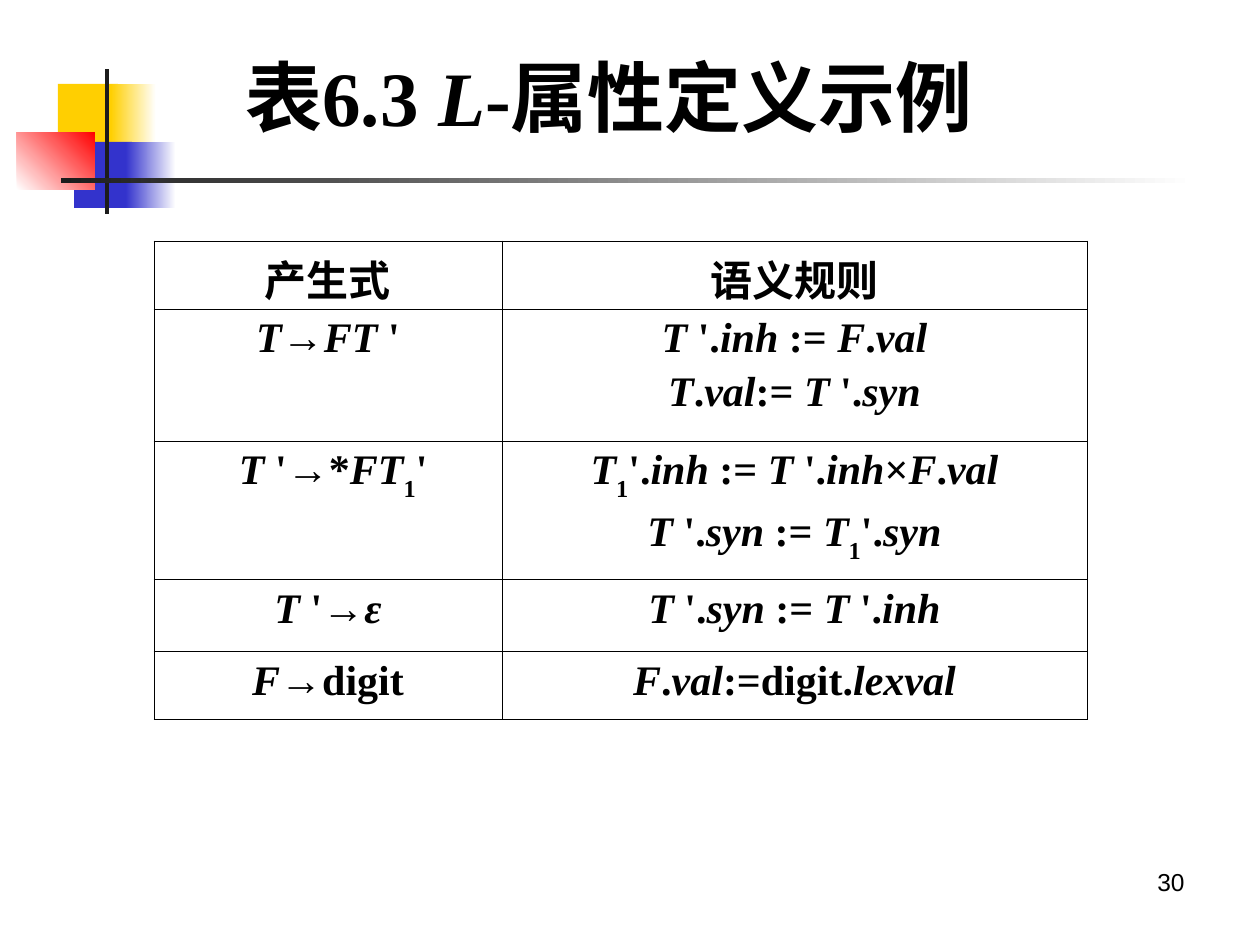
from dataclasses import dataclass

from lxml.etree import SubElement
from pptx import Presentation
from pptx.dml.color import RGBColor
from pptx.enum.shapes import MSO_SHAPE
from pptx.enum.text import MSO_ANCHOR, PP_ALIGN
from pptx.oxml.ns import qn
from pptx.util import Emu, Pt

PX = 914400 // 126


def px(length):
    return Emu(length * PX)


@dataclass(frozen=True)
class Theme:
    ink: str = "000000"
    paper: str = "FFFFFF"
    yellow: str = "FFCF01"
    blue: str = "3333CC"
    red: str = "FF0000"
    bar: str = "1C1C1C"
    serif: str = "Times New Roman"
    sans: str = "Arial"
    heading: str = "Cabin"
    title_size: int = 44
    table_size: int = 24
    number_size: int = 14
    line: float = 0.45
    thin_line: float = 0.34


class SlideBuilder:
    """Draws elements on one slide in one theme."""

    def __init__(self, slide, theme):
        self.slide = slide
        self.theme = theme

    def block(self, box, color, end_color=None, angle=0):
        """Add a borderless rectangle; end_color makes its fill a gradient."""
        block = self.slide.shapes.add_shape(MSO_SHAPE.RECTANGLE, *map(px, box))
        block.shadow.inherit = False
        block.line.fill.background()
        if end_color is None:
            block.fill.solid()
            block.fill.fore_color.rgb = RGBColor.from_string(color)
            return
        block.fill.gradient()
        block.fill.gradient_angle = angle
        for stop, stop_color in zip(block.fill.gradient_stops, (color, end_color)):
            stop.color.rgb = RGBColor.from_string(stop_color)

    def add_runs(self, paragraph, markup, size, font, bold=True):
        """Add runs; _..._ is italic and ^...^ is subscript."""
        for i, part in enumerate(markup.split("_")):
            for j, words in enumerate(part.split("^")):
                if not words:
                    continue
                run = paragraph.add_run()
                run.text = words
                run.font.name = font
                run.font.size = Pt(size)
                run.font.bold = bold
                run.font.italic = i % 2 == 1
                run.font.color.rgb = RGBColor.from_string(self.theme.ink)
                if j % 2:
                    run.font._element.set("baseline", "-30000")

    def text(self, box, parts, size, bold=True, align=PP_ALIGN.LEFT, anchor=MSO_ANCHOR.TOP):
        """Add one paragraph made of (markup, font) parts."""
        frame = self.slide.shapes.add_textbox(*map(px, box)).text_frame
        frame.word_wrap = True
        frame.vertical_anchor = anchor
        paragraph = frame.paragraphs[0]
        paragraph.alignment = align
        for markup, font in parts:
            self.add_runs(paragraph, markup, size, font, bold)

    def borders(self, cell, widths):
        """Set the left, right, top and bottom lines, in points."""
        properties = cell._tc.get_or_add_tcPr()
        for index, (side, width) in enumerate(zip("LRTB", widths)):
            line = SubElement(properties, qn(f"a:ln{side}"), w=str(Pt(width)))
            fill = SubElement(line, qn("a:solidFill"))
            SubElement(fill, qn("a:srgbClr"), val=self.theme.ink)
            properties.insert(index, line)

    def cell(self, cell, lines):
        cell.fill.background()
        for index, markup in enumerate(lines):
            frame = cell.text_frame
            paragraph = frame.add_paragraph() if index else frame.paragraphs[0]
            paragraph.alignment = PP_ALIGN.CENTER
            indent = px(48)
            properties = paragraph._p.get_or_add_pPr()
            properties.set("marL", str(indent))
            properties.set("indent", str(-indent))
            if index:
                paragraph.space_before = Pt(4)
            self.add_runs(paragraph, markup, self.theme.table_size, self.theme.serif)

    def table(self, left, top, widths, heights, rows):
        line, thin = self.theme.line, self.theme.thin_line
        table = self.slide.shapes.add_table(
            len(rows), len(widths), px(left), px(top), px(sum(widths)), px(sum(heights))
        ).table
        table.first_row = table.horz_banding = False
        for column, width in zip(table.columns, widths):
            column.width = px(width)
        for r, (row, height) in enumerate(zip(rows, heights)):
            table.rows[r].height = px(height)
            for c, lines in enumerate(row):
                cell = table.cell(r, c)
                self.cell(cell, lines)
                left_line = thin if r and c == 0 else line
                right_line = thin if c == len(widths) - 1 else line
                self.borders(cell, (left_line, right_line, line, line))


RULES = [
    (["产生式"], ["语义规则"]),
    (["_T_→_FT _'"], ["_T _'._inh_ := _F_._val_", "_T_._val_:=_ T _'._syn_"]),
    (
        ["_ T _'→*_FT_^1^'"],
        ["_T_^1^'._inh_ := _T _'._inh_×_F_._val_", "_T _'._syn _:=_ T_^1^'._syn_"],
    ),
    (["_T _'→_ε_"], ["_T _'._syn_ := _T _'._inh_"]),
    (["_F_→digit"], ["_F_._val_:=digit._lexval_"]),
]


def main():
    deck = Presentation()
    deck.slide_width, deck.slide_height = px(1260), px(945)
    theme = Theme()
    builder = SlideBuilder(deck.slides.add_slide(deck.slide_layouts[6]), theme)

    builder.block((58, 84, 60, 66), theme.yellow)
    builder.block((111, 84, 45, 66), theme.yellow, theme.paper)
    builder.block((74, 142, 58, 66), theme.blue)
    builder.block((126, 142, 50, 66), theme.blue, theme.paper)
    builder.block((17, 132, 78, 58), theme.paper, theme.red, angle=45)
    builder.block((105, 69, 4, 145), theme.bar)
    builder.block((61, 178, 1134, 5), theme.bar, theme.paper)

    builder.text((903, 861, 294, 66), [("30", theme.sans)], theme.number_size,
                 bold=False, align=PP_ALIGN.RIGHT)
    builder.text((233, 16, 844, 159),
                 [("表6.3 _L_-属性", theme.serif), ("定义示例", theme.heading)],
                 theme.title_size, anchor=MSO_ANCHOR.MIDDLE)
    builder.table(154, 241, (348, 585), (68, 132, 132, 72, 68), RULES)

    deck.save("out.pptx")


if __name__ == "__main__":
    main()
